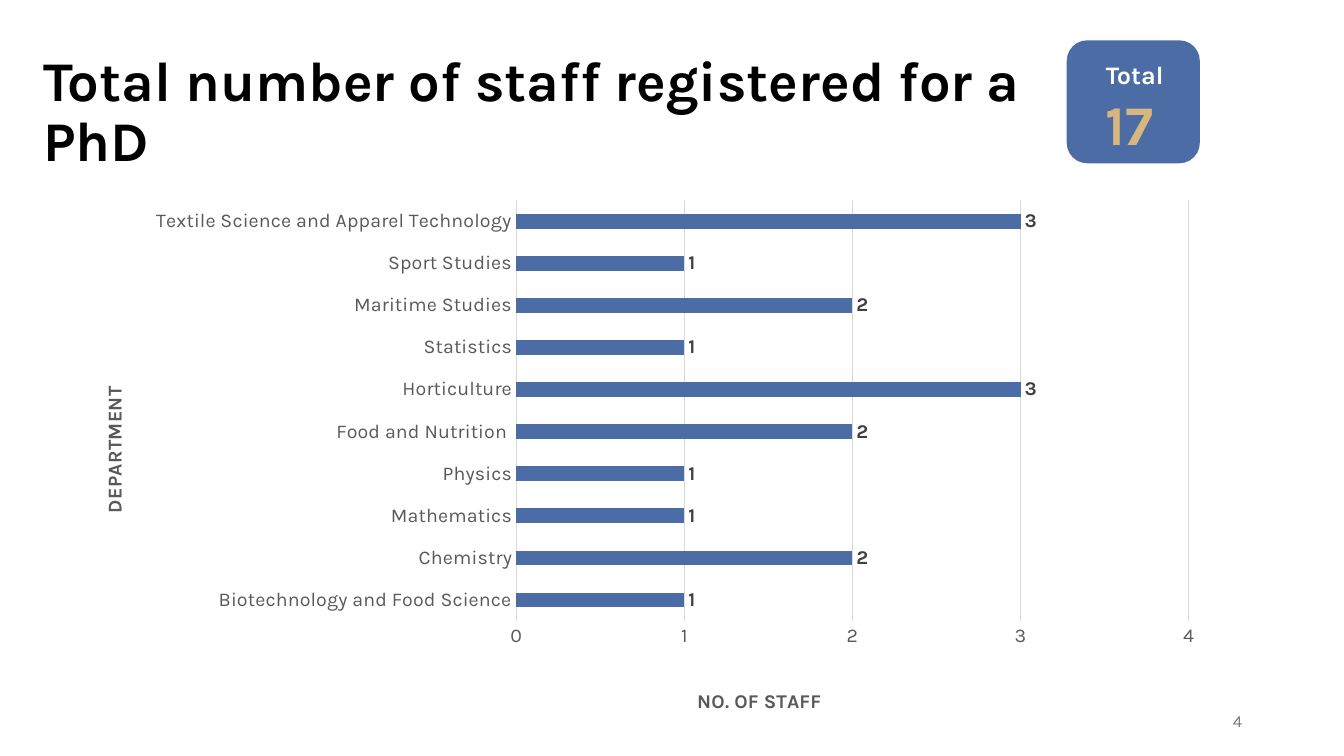
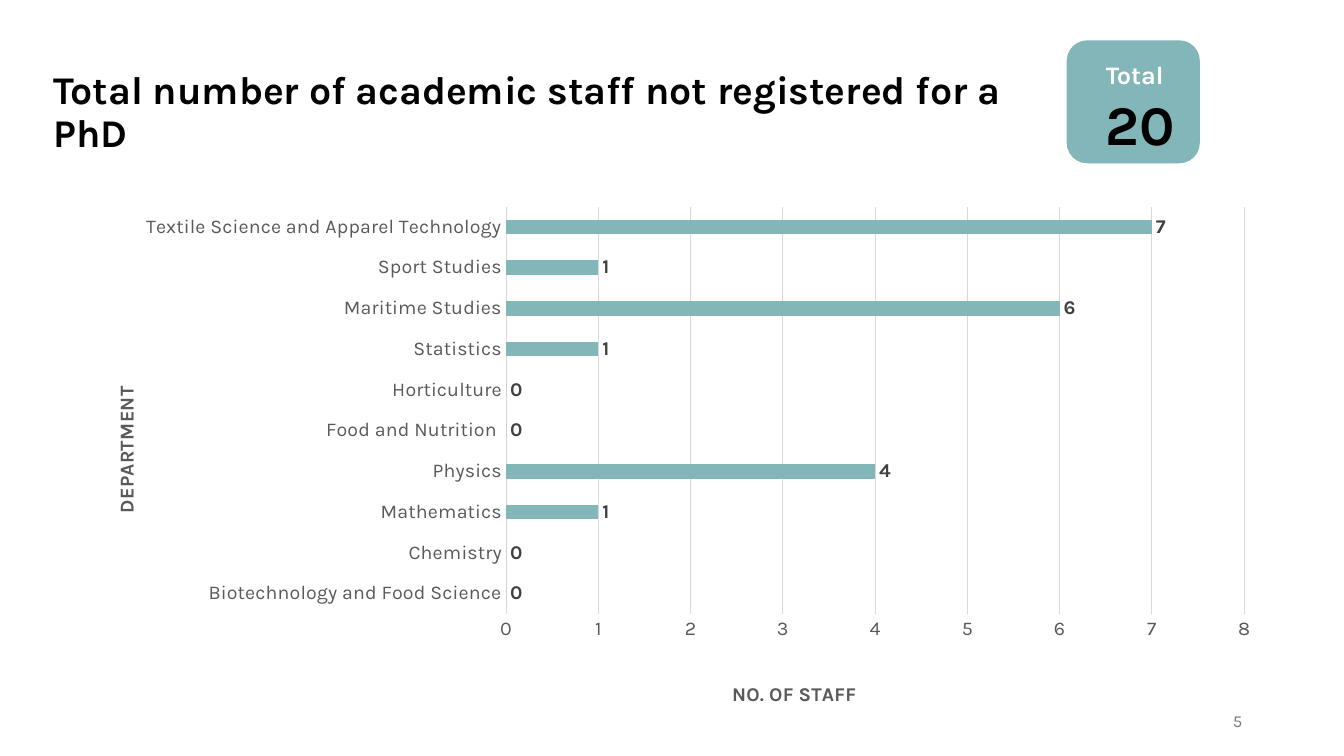
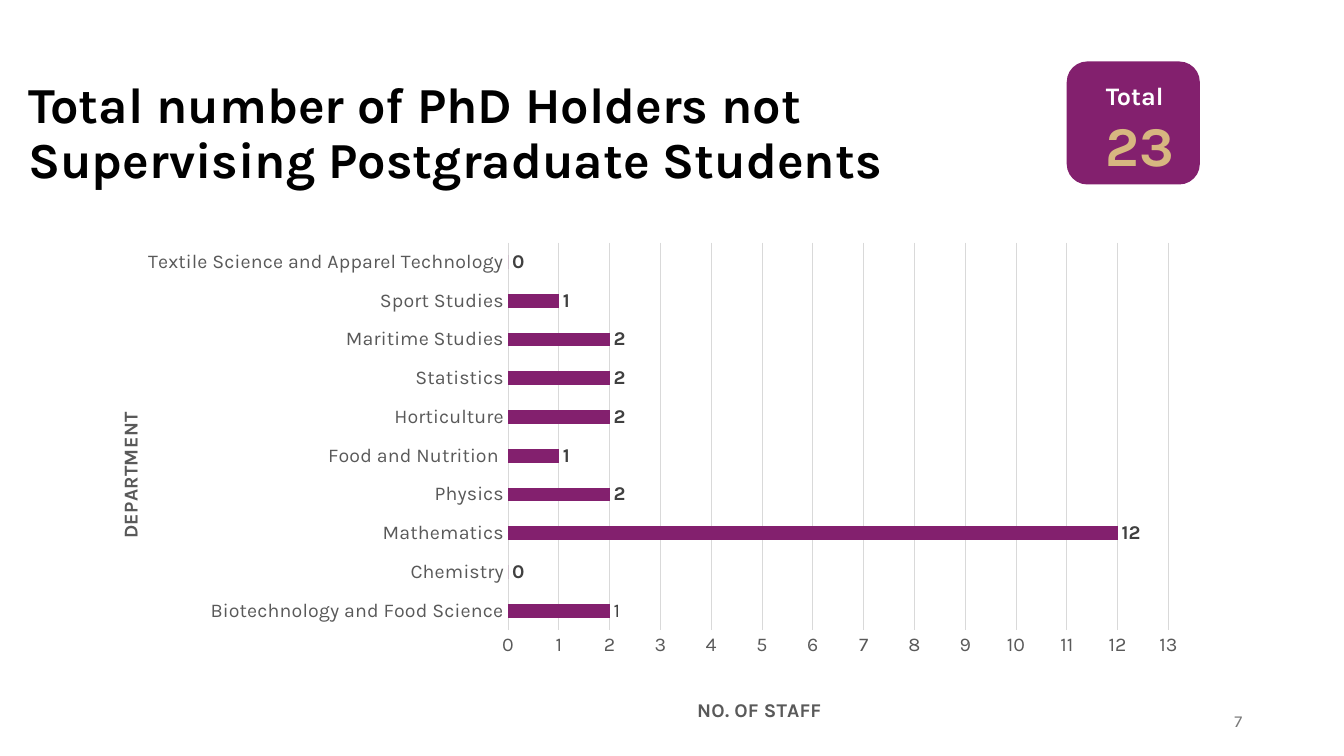
from dataclasses import dataclass

from pptx import Presentation
from pptx.chart.data import CategoryChartData
from pptx.dml.color import RGBColor
from pptx.enum.chart import XL_CHART_TYPE, XL_LABEL_POSITION, XL_TICK_MARK
from pptx.enum.shapes import MSO_SHAPE
from pptx.enum.text import MSO_ANCHOR, MSO_AUTO_SIZE, PP_ALIGN
from pptx.oxml import parse_xml
from pptx.oxml.ns import nsdecls, qn
from pptx.util import Inches, Pt

BAR_CLUSTERED = XL_CHART_TYPE.BAR_CLUSTERED
OUTSIDE_END = XL_LABEL_POSITION.OUTSIDE_END
NO_TICKS = XL_TICK_MARK.NONE
ROUNDED_RECTANGLE = MSO_SHAPE.ROUNDED_RECTANGLE
MIDDLE = MSO_ANCHOR.MIDDLE
NO_AUTOFIT = MSO_AUTO_SIZE.NONE
GROW_SHAPE = MSO_AUTO_SIZE.SHAPE_TO_FIT_TEXT
LEFT, RIGHT = PP_ALIGN.LEFT, PP_ALIGN.RIGHT

FONT = "Karla"
BLACK, WHITE, GOLD = "000000", "FFFFFF", "D7B680"
AXIS_TEXT, LABEL_TEXT, GRID, PAGE_TEXT = "595959", "404040", "D9D9D9", "797979"
TITLE_HEIGHT = 1.45
BADGE_LEFT, BADGE_WIDTH, BADGE_HEIGHT = 10.58, 1.32, 1.22
PAGE_NUMBER_BOX = (9.42, 6.95, 3, 0.4)

DEPARTMENTS = [
    "Biotechnology and Food Science", "Chemistry", "Mathematics", "Physics",
    "Food and Nutrition ", "Horticulture", "Statistics", "Maritime Studies",
    "Sport Studies", "Textile Science and Apparel Technology",
]


@dataclass
class StaffSlide:
    """Boxes are left, top, width and height in inches on the slide."""
    title: str
    title_left: float
    title_width: float
    title_size: int
    top: float
    total: str
    total_color: str
    color: str
    values: list
    axis_maximum: int
    chart_box: tuple
    plot_box: tuple
    page: str
    label_overrides: dict


STAFF_SLIDES = [
    StaffSlide("Total number of staff registered for a PhD", 0.33, 10.08, 40, 0.4,
               "17", GOLD, "4B6CA4", [1, 2, 1, 1, 2, 3, 1, 2, 1, 3], 4,
               (0.57, 1.89, 11.5, 5.25), (5.12, 1.99, 6.67, 4.21), "4", {}),
    StaffSlide("Total number of academic staff not registered for a PhD",
               0.43, 9.85, 28, 0.4,
               "20", BLACK, "83B6B9", [0, 0, 1, 4, 0, 0, 1, 6, 1, 7], 8,
               (0.69, 1.95, 11.95, 5.12), (5.02, 2.05, 7.32, 4.07), "5", {}),
    StaffSlide("Total number of PhD Holders not Supervising Postgraduate Students",
               0.18, 10.23, 36, 0.61,
               "23", GOLD, "83206E", [2, 0, 12, 2, 1, 2, 2, 2, 1, 0], 13,
               (0.73, 2.31, 11.18, 4.92), (5.04, 2.41, 6.55, 3.88), "7", {0: "1"}),
]


def rgb(color):
    return RGBColor.from_string(color)


def inches(box):
    return [Inches(length) for length in box]


def style_font(font, size, color, bold=False):
    font.name = FONT
    font.size = Pt(size)
    font.bold = bold
    font.color.rgb = rgb(color)


def add_title(slide, text, box, size):
    title = slide.shapes.title
    title.left, title.top, title.width, title.height = inches(box)
    frame = title.text_frame
    frame.text = text
    frame.word_wrap = True
    frame.auto_size = NO_AUTOFIT
    frame.vertical_anchor = MIDDLE
    paragraph = frame.paragraphs[0]
    paragraph.alignment = LEFT
    paragraph.line_spacing = 0.9
    style_font(paragraph.font, size, BLACK, bold=True)


def add_total_badge(slide, left, top, color, total, total_color):
    badge = slide.shapes.add_shape(
        ROUNDED_RECTANGLE, *inches((left, top, BADGE_WIDTH, BADGE_HEIGHT)))
    badge.shadow.inherit = False
    badge.fill.solid()
    badge.fill.fore_color.rgb = rgb(color)
    badge.line.fill.background()

    text_box = slide.shapes.add_textbox(*inches((left + 0.29, top + 0.14, 1.2, 1.08)))
    frame = text_box.text_frame
    frame.word_wrap = True
    frame.auto_size = GROW_SHAPE
    frame.text = f"Total\n{total}"
    caption, number = frame.paragraphs
    style_font(caption.font, 18, WHITE, bold=True)
    style_font(number.font, 40, total_color, bold=True)


def add_page_number(slide, page):
    frame = slide.shapes.add_textbox(*inches(PAGE_NUMBER_BOX)).text_frame
    frame.word_wrap = True
    frame.vertical_anchor = MIDDLE
    frame.text = page
    frame.paragraphs[0].alignment = RIGHT
    style_font(frame.paragraphs[0].font, 12, PAGE_TEXT)


def set_layout(element, **settings):
    """Give a chart part a manual layout; settings are in schema order."""
    layout = element.find(qn("c:layout"))
    if layout is None:
        layout = parse_xml(f"<c:layout {nsdecls('c')}/>")
        element.insert(0, layout)
    children = "".join(f'<c:{name} val="{value}"/>' for name, value in settings.items())
    layout.append(parse_xml(
        f"<c:manualLayout {nsdecls('c')}>{children}</c:manualLayout>"))


def style_axis(axis, title, title_x, title_y):
    axis.major_tick_mark = NO_TICKS
    axis.minor_tick_mark = NO_TICKS
    style_font(axis.tick_labels.font, 14, AXIS_TEXT)
    frame = axis.axis_title.text_frame
    frame.text = title
    style_font(frame.paragraphs[0].font, 14, AXIS_TEXT, bold=True)
    set_layout(axis.axis_title._element, xMode="edge", yMode="edge",
               x=round(title_x, 4), y=round(title_y, 4))


def style_line(line, color):
    line.color.rgb = rgb(color)
    line.width = Pt(0.75)


def style_series(plot, color, label_overrides):
    plot.gap_width = 182
    plot.vary_by_categories = False
    series = plot.series[0]
    series.format.fill.solid()
    series.format.fill.fore_color.rgb = rgb(color)
    labels = series.data_labels
    labels.show_value = True
    labels.position = OUTSIDE_END
    style_font(labels.font, 14, LABEL_TEXT, bold=True)
    for index, text in label_overrides.items():
        label = series.points[index].data_label
        label.text_frame.text = text
        label.position = OUTSIDE_END
        style_font(label.text_frame.paragraphs[0].font, 14, LABEL_TEXT)


def add_department_chart(slide, content):
    left, top, width, height = content.chart_box
    plot_left, plot_top, plot_width, plot_height = content.plot_box
    data = CategoryChartData()
    data.categories = DEPARTMENTS
    data.add_series("Series 1", content.values)
    chart = slide.shapes.add_chart(
        BAR_CLUSTERED, *inches(content.chart_box), data).chart
    chart.has_title = False
    chart.has_legend = False
    style_font(chart.font, 14, BLACK)
    style_series(chart.plots[0], content.color, content.label_overrides)

    departments = chart.category_axis
    style_axis(departments, "DEPARTMENT", 0.4 / width, 0.5 - 0.69 / height)
    departments.axis_title.text_frame._txBody.bodyPr.set("rot", "-5400000")
    departments.has_major_gridlines = False
    style_line(departments.format.line, GRID)

    staff = chart.value_axis
    style_axis(staff, "NO. OF STAFF", 0.5 + 0.56 / width,
               (plot_top + plot_height + 0.64 - top) / height)
    staff.minimum_scale = 0
    staff.maximum_scale = content.axis_maximum
    staff.major_unit = 1
    staff.format.line.fill.background()
    style_line(staff.major_gridlines.format.line, GRID)

    set_layout(chart.plots[0]._element.getparent(),
               layoutTarget="inner", xMode="edge", yMode="edge",
               x=round((plot_left - left) / width, 4),
               y=round((plot_top - top) / height, 4),
               w=round(plot_width / width, 4), h=round(plot_height / height, 4))


def add_staff_slide(presentation, content):
    slide = presentation.slides.add_slide(presentation.slide_layouts[5])
    add_department_chart(slide, content)
    add_total_badge(slide, BADGE_LEFT, content.top, content.color,
                    content.total, content.total_color)
    add_title(slide, content.title,
              (content.title_left, content.top, content.title_width, TITLE_HEIGHT),
              content.title_size)
    add_page_number(slide, content.page)


def main():
    presentation = Presentation()
    presentation.slide_width = Inches(13.33)
    presentation.slide_height = Inches(7.5)
    for content in STAFF_SLIDES:
        add_staff_slide(presentation, content)
    presentation.save("out.pptx")


if __name__ == "__main__":
    main()
